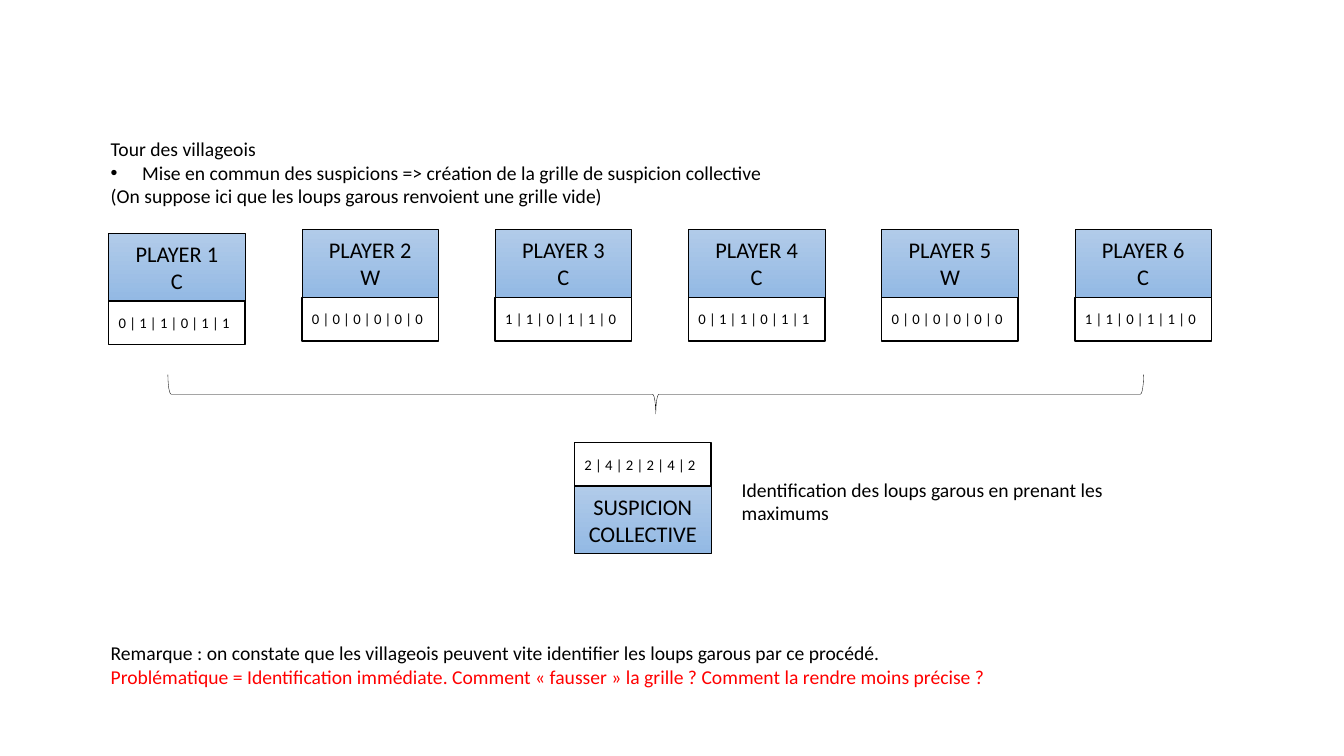
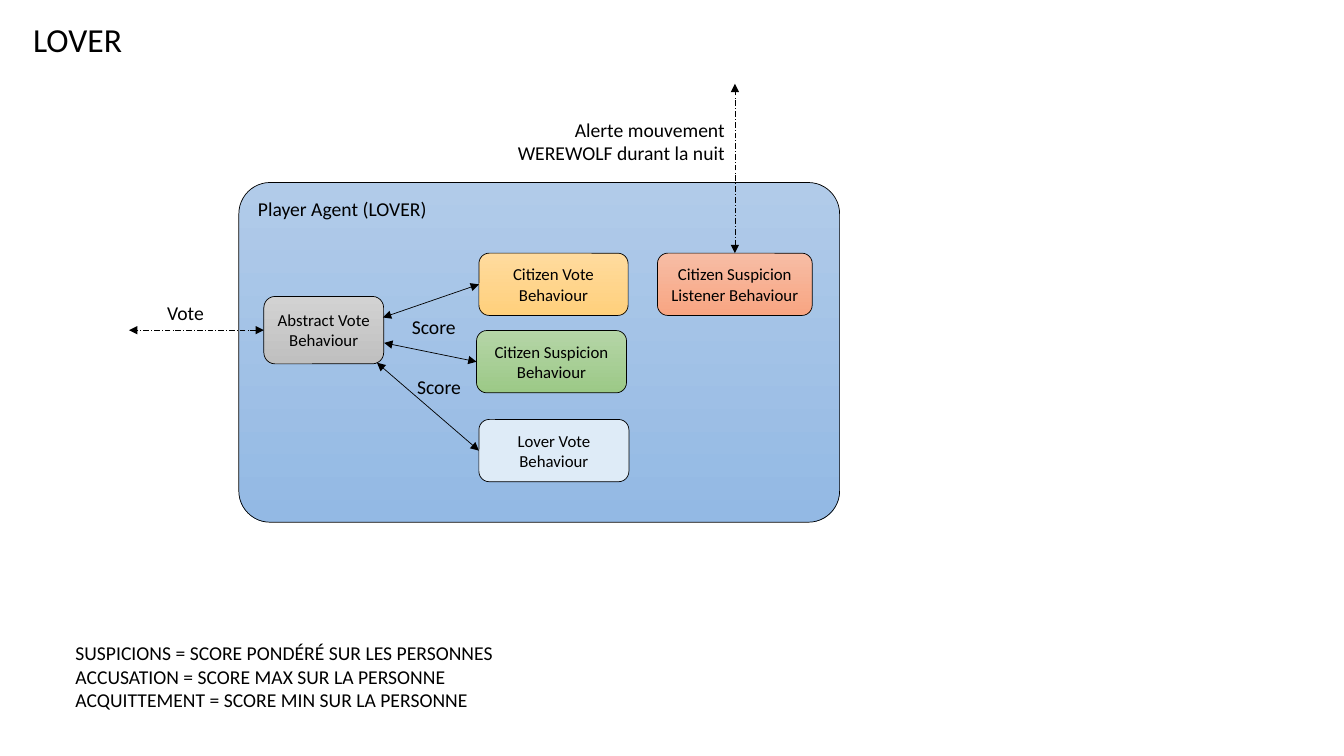
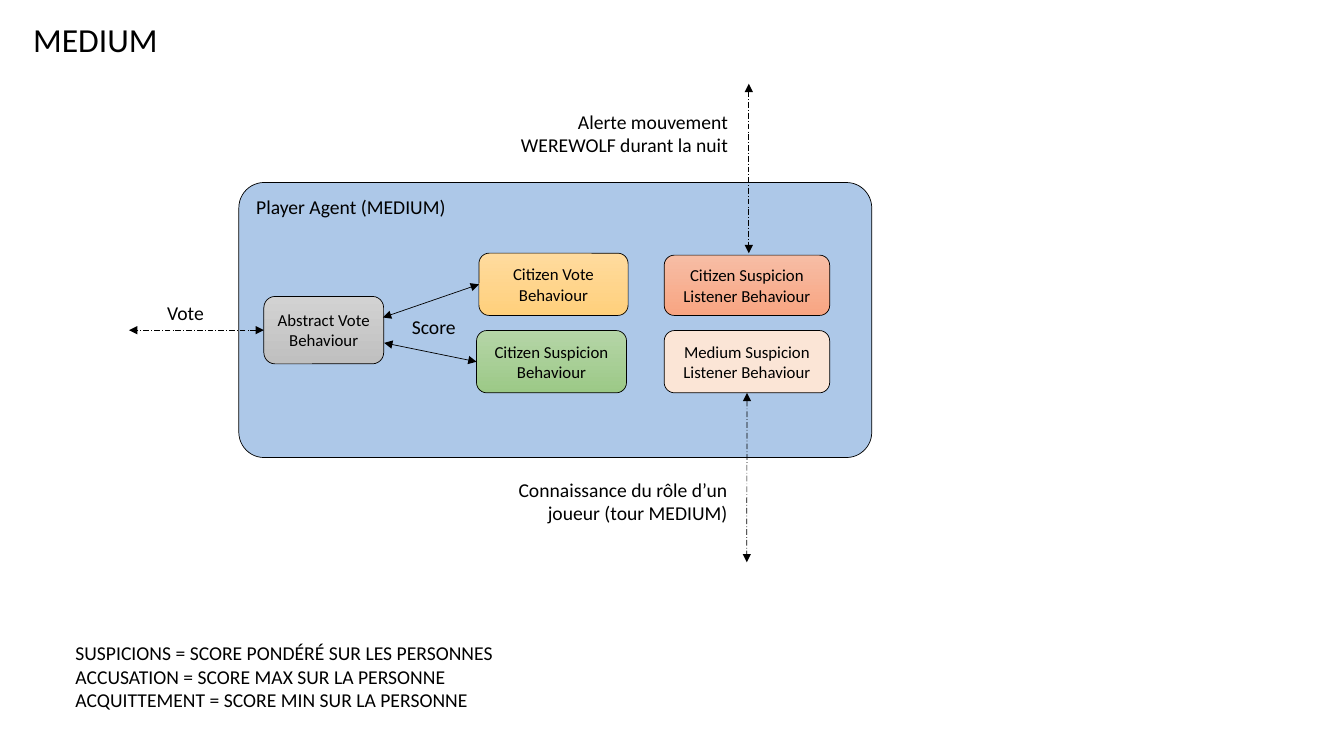
from dataclasses import dataclass
from typing import NamedTuple, Optional, Sequence, Union

from lxml import etree
from pptx import Presentation
from pptx import util as u
from pptx.dml.color import RGBColor
from pptx.enum import dml, shapes, text
from pptx.oxml.ns import qn

# Shared style
FONT = "Calibri"
COLORS = {"black": "000000", "white": "FFFFFF", "red": "FF0000",
          "pale blue": "DEEBF7", "pale orange": "FBE5D6", "flat blue": "ADC8E8"}
GRADIENTS = {"blue": ("B1CBE9", "93B9E4"), "gold": ("FFDB9E", "FFD07C"),
             "green": ("B5D5A7", "9CC987"), "grey": ("D2D2D2", "C0C0C0"),
             "orange": ("F7BDA5", "F8A582")}
LEFT, CENTER, RIGHT = text.PP_ALIGN.LEFT, text.PP_ALIGN.CENTER, text.PP_ALIGN.RIGHT
TOP, MIDDLE = text.MSO_ANCHOR.TOP, text.MSO_ANCHOR.MIDDLE
RECTANGLE = shapes.MSO_SHAPE.RECTANGLE
ROUNDED = shapes.MSO_SHAPE.ROUNDED_RECTANGLE
LEFT_SIDE = 1


class Area(NamedTuple):
    """Left, top, width and height in centimetres."""
    left: float
    top: float
    width: float
    height: float

    def lengths(self) -> list:
        return [u.Cm(value) for value in self]


class Line(NamedTuple):
    text: str
    color: str = "black"
    bullet: bool = False


Lines = Sequence[Union[str, Line]]


@dataclass
class Box:
    area: Area
    lines: Lines
    fill: str
    size: float = 12
    kind: int = ROUNDED
    align: int = CENTER
    anchor: int = MIDDLE
    border: float = 0.5
    corner: Optional[float] = None


@dataclass
class Label:
    area: Area
    lines: Lines
    align: int = LEFT


@dataclass
class Arrow:
    """Two-headed arrow; it is joined to the named box at its start."""
    start: tuple
    end: tuple
    box: str = ""
    side: int = LEFT_SIDE
    dashed: bool = False


@dataclass
class AgentSlide:
    title: str
    agent: Box
    boxes: dict
    arrows: list
    labels: list


# Drawing functions
def rgb(name: str) -> RGBColor:
    return RGBColor.from_string(COLORS[name])


def write_text(frame, lines: Lines, *, size: float, align: int = LEFT,
               anchor: int = TOP, spacing: Optional[float] = None) -> None:
    frame.word_wrap = True
    frame.vertical_anchor = anchor
    for index, item in enumerate(lines):
        line = Line(item) if isinstance(item, str) else item
        paragraph = frame.add_paragraph() if index else frame.paragraphs[0]
        paragraph.alignment = align
        if spacing:
            paragraph.line_spacing = spacing
        if line.bullet:
            properties = paragraph._p.get_or_add_pPr()
            properties.set("marL", str(u.Cm(0.79)))
            properties.set("indent", str(-u.Cm(0.79)))
            etree.SubElement(properties, qn("a:buFont")).set("typeface", "Arial")
            etree.SubElement(properties, qn("a:buChar")).set("char", "•")
        run = paragraph.add_run()
        run.text = line.text
        run.font.name = FONT
        run.font.size = u.Pt(size)
        run.font.color.rgb = rgb(line.color)


def draw_box(slide, box: Box):
    shape = slide.shapes.add_shape(box.kind, *box.area.lengths())
    shape.shadow.inherit = False
    if box.corner:
        shape.adjustments[0] = box.corner
    if box.fill in GRADIENTS:
        shape.fill.gradient()
        shape.fill.gradient_angle = 270
        for stop, color in zip(shape.fill.gradient_stops, GRADIENTS[box.fill]):
            stop.color.rgb = RGBColor.from_string(color)
    else:
        shape.fill.solid()
        shape.fill.fore_color.rgb = rgb(box.fill)
    shape.line.color.rgb = rgb("black")
    shape.line.width = u.Pt(box.border)
    write_text(shape.text_frame, box.lines, size=box.size,
               align=box.align, anchor=box.anchor)
    return shape


def draw_label(slide, label: Label) -> None:
    frame = slide.shapes.add_textbox(*label.area.lengths()).text_frame
    write_text(frame, label.lines, size=14, align=label.align)
    frame.auto_size = text.MSO_AUTO_SIZE.SHAPE_TO_FIT_TEXT


def draw_arrow(slide, arrow: Arrow, drawn: dict) -> None:
    points = [u.Cm(value) for value in (*arrow.start, *arrow.end)]
    connector = slide.shapes.add_connector(shapes.MSO_CONNECTOR.STRAIGHT, *points)
    if arrow.box:
        connector.begin_connect(drawn[arrow.box], arrow.side)
    connector.line.color.rgb = rgb("black")
    connector.line.width = u.Pt(0.5)
    if arrow.dashed:
        connector.line.dash_style = dml.MSO_LINE.LONG_DASH_DOT
    properties = connector._element.spPr
    outline = properties.find(qn("a:ln"))
    for end in ("a:headEnd", "a:tailEnd"):
        etree.SubElement(outline, qn(end)).set("type", "triangle")
    etree.SubElement(properties, qn("a:effectLst"))


def draw_title(slide, title: str) -> None:
    shape = slide.shapes.title
    shape.left, shape.top, shape.width, shape.height = Area(0.58, 0.46, 15.21, 1.65).lengths()
    write_text(shape.text_frame, [title], size=24, spacing=0.9)
    shape.text_frame.auto_size = text.MSO_AUTO_SIZE.NONE


# Collective suspicion slide
CELL_WIDTH, NAME_HEIGHT, GRID_HEIGHT = 3.44, 1.7, 1.1
PLAYERS = [("C", "0 | 1 | 1 | 0 | 1 | 1"), ("W", "0 | 0 | 0 | 0 | 0 | 0"),
           ("C", "1 | 1 | 0 | 1 | 1 | 0"), ("C", "0 | 1 | 1 | 0 | 1 | 1"),
           ("W", "0 | 0 | 0 | 0 | 0 | 0"), ("C", "1 | 1 | 0 | 1 | 1 | 0")]
SUSPICION_LABELS = [
    Label(Area(2.54, 3.33, 24.31, 2.06),
          ["Tour des villageois",
           Line("Mise en commun des suspicions => création de la grille de "
                "suspicion collective", bullet=True),
           "(On suppose ici que les loups garous renvoient une grille vide)"]),
    Label(Area(18.44, 11.91, 11.05, 1.45),
          ["Identification des loups garous en prenant les maximums"]),
    Label(Area(2.54, 16.03, 23.47, 1.45),
          ["Remarque : on constate que les villageois peuvent vite identifier "
           "les loups garous par ce procédé.",
           Line("Problématique = Identification immédiate. Comment « fausser » "
                "la grille ? Comment la rendre moins précise ?", color="red")]),
]


def draw_name(slide, left: float, top: float, lines: Lines) -> None:
    draw_box(slide, Box(Area(left, top, CELL_WIDTH, NAME_HEIGHT), lines, "blue",
                        size=16, kind=RECTANGLE))


def draw_grid(slide, left: float, top: float, grid: str) -> None:
    draw_box(slide, Box(Area(left, top, CELL_WIDTH, GRID_HEIGHT), [grid], "white",
                        size=10.5, kind=RECTANGLE, align=LEFT, border=1))


def draw_suspicion_slide(presentation) -> None:
    slide = presentation.slides.add_slide(presentation.slide_layouts[6])
    for index, (role, grid) in enumerate(PLAYERS):
        left = 2.74 + 4.87 * index
        top = 5.79 if index else 5.89
        draw_name(slide, left, top, [f"PLAYER {index + 1}", role])
        draw_grid(slide, left, top + NAME_HEIGHT, grid)

    # Brace and collective result
    brace = slide.shapes.add_shape(shapes.MSO_SHAPE.RIGHT_BRACE,
                                   *Area(16.03, -2.36, 0.99, 24.59).lengths())
    brace.rotation = 90
    brace.shadow.inherit = False
    brace.fill.background()
    brace.line.color.rgb = rgb("black")
    brace.line.width = u.Pt(0.25)
    draw_grid(slide, 14.48, 11.15, "2 | 4 | 2 | 2 | 4 | 2")
    draw_name(slide, 14.48, 11.15 + GRID_HEIGHT, ["SUSPICION", "COLLECTIVE"])
    for label in SUSPICION_LABELS:
        draw_label(slide, label)


# Agent slides: parts found on each of them
COMMON_BOXES = {
    "vote": Box(Area(12.07, 6.38, 3.76, 1.57), ["Citizen Vote Behaviour"], "gold"),
    "suspicion": Box(Area(12.01, 8.33, 3.78, 1.57),
                     ["Citizen Suspicion Behaviour"], "green"),
    "abstract": Box(Area(6.65, 7.47, 3.02, 1.7), ["Abstract Vote Behaviour"], "grey"),
}
COMMON_ARROWS = [
    Arrow((12.07, 7.16), (9.65, 8), "vote"),
    Arrow((12.01, 9.12), (9.68, 8.64), "suspicion"),
    Arrow((6.65, 8.32), (3.25, 8.32), "abstract", dashed=True),
]
COMMON_LABELS = [
    Label(Area(3.96, 7.47, 3.48, 0.86), ["Vote"]),
    Label(Area(10.13, 7.8, 3.48, 0.86), ["Score"]),
    Label(Area(1.65, 16.03, 12.6, 2.06),
          ["SUSPICIONS = SCORE PONDÉRÉ SUR LES PERSONNES",
           "ACCUSATION = SCORE MAX SUR LA PERSONNE",
           "ACQUITTEMENT = SCORE MIN SUR LA PERSONNE"]),
]
ALERT = ["Alerte mouvement", "WEREWOLF durant la nuit"]
LISTENER = ["Citizen Suspicion Listener Behaviour"]


def agent_box(role: str, width: float, height: float, fill: str) -> Box:
    return Box(Area(6.02, 4.6, width, height), [f"Player Agent ({role})"], fill,
               size=14, align=LEFT, anchor=TOP, corner=0.092)


AGENT_SLIDES = [
    AgentSlide(
        "LOVER", agent_box("LOVER", 15.14, 8.56, "blue"),
        boxes={
            "listener": Box(Area(16.57, 6.38, 3.9, 1.57), LISTENER, "orange"),
            "lover": Box(Area(12.07, 10.57, 3.78, 1.57),
                         ["Lover Vote Behaviour"], "pale blue"),
        },
        arrows=[
            Arrow((18.52, 6.38), (18.52, 2.11), "listener", side=0, dashed=True),
            Arrow((12.07, 11.35), (9.5, 9.14), "lover"),
        ],
        labels=[
            Label(Area(11.46, 2.84, 7.06, 1.45), ALERT, RIGHT),
            Label(Area(10.26, 9.32, 3.48, 0.86), ["Score"]),
        ]),
    AgentSlide(
        "MEDIUM", agent_box("MEDIUM", 15.95, 6.93, "flat blue"),
        boxes={
            "listener": Box(Area(16.74, 6.43, 4.17, 1.52), LISTENER, "orange"),
            "medium": Box(Area(16.74, 8.33, 4.17, 1.57),
                          ["Medium Suspicion Listener Behaviour"], "pale orange"),
        },
        arrows=[
            Arrow((18.87, 2.11), (18.87, 6.38), dashed=True),
            Arrow((18.82, 9.9), (18.82, 14.17), "medium", side=2, dashed=True),
        ],
        labels=[
            Label(Area(11.89, 2.64, 6.71, 1.45), ALERT, RIGHT),
            Label(Area(11.66, 11.91, 6.93, 1.45),
                  ["Connaissance du rôle d’un joueur (tour MEDIUM)"], RIGHT),
        ]),
]


def draw_agent_slide(presentation, content: AgentSlide) -> None:
    slide = presentation.slides.add_slide(presentation.slide_layouts[5])
    draw_title(slide, content.title)
    draw_box(slide, content.agent)
    drawn = {name: draw_box(slide, box)
             for name, box in {**COMMON_BOXES, **content.boxes}.items()}
    for arrow in COMMON_ARROWS + content.arrows:
        draw_arrow(slide, arrow, drawn)
    for label in COMMON_LABELS + content.labels:
        draw_label(slide, label)


def main() -> None:
    presentation = Presentation()
    presentation.slide_width, presentation.slide_height = u.Cm(33.87), u.Cm(19.05)
    draw_suspicion_slide(presentation)
    for content in AGENT_SLIDES:
        draw_agent_slide(presentation, content)
    presentation.save("out.pptx")


if __name__ == "__main__":
    main()
